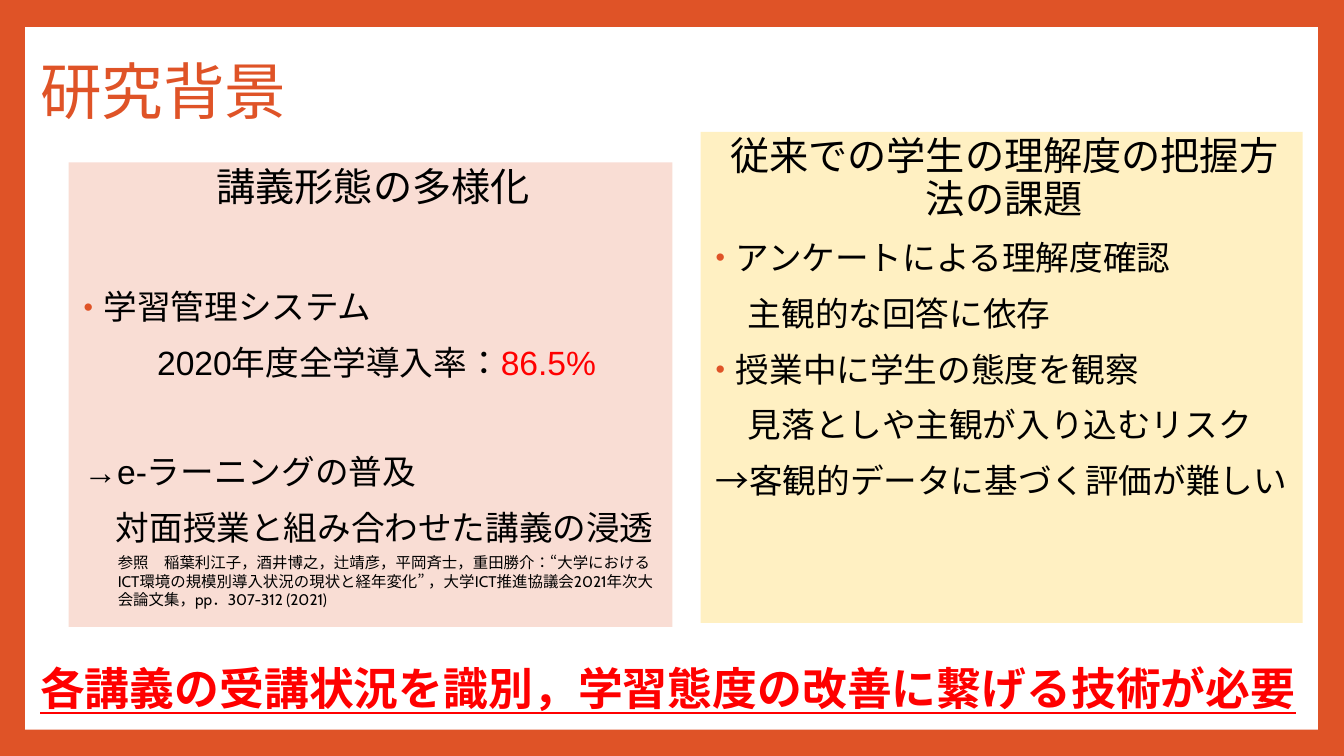
"""Build the research background slide with two panels and a conclusion."""
from pptx import Presentation, util as u
from pptx.dml.color import RGBColor
from pptx.enum import lang, shapes, text
from pptx.oxml import parse_xml
from pptx.oxml.ns import nsdecls

ORANGE = RGBColor(0xDF, 0x53, 0x27)
WHITE = RGBColor(0xFF, 0xFF, 0xFF)
PINK = RGBColor(0xF9, 0xDD, 0xD4)
YELLOW = RGBColor(0xFF, 0xF0, 0xC2)
BLACK = RGBColor(0, 0, 0)
RED = RGBColor(0xFF, 0, 0)

FRAME = (0.25, 0.27, 12.82, 6.97)
TITLE = ("研究背景", (0.3, 0.2, 10.8, 1.48))
REFERENCE = (
    "参照　稲葉利江子，酒井博之，辻靖彦，平岡斉士，重田勝介：“大学における"
    "ICT環境の規模別導入状況の現状と経年変化” ，大学ICT推進協議会2021年次"
    "大会論文集，pp．307-312 (2021)",
    (1.07, 5.44, 5.59, 0.67),
)
CONCLUSION = (
    "各講義の受講状況を識別，学習態度の改善に繋げる技術が必要",
    (0.3, 6.51, 12.77, 0.64),
)
PANELS = [
    {
        "box": (0.68, 1.61, 5.99, 4.61), "fill": PINK, "font": "Arial",
        "heading": "講義形態の多様化",
        "points": [
            ("学習管理システム", {"bullet": True, "before": 58}),
            ("2020年度全学導入率：|86.5%", {"indent": 0.78}),
            ("→e-ラーニングの普及", {"before": 52}),
            ("対面授業と組み合わせた講義の浸透", {"indent": 0.37}),
        ],
    },
    {
        "box": (6.95, 1.31, 5.97, 4.87), "fill": YELLOW, "font": "Cabin",
        "heading": "従来での学生の理解度の把握方法の課題",
        "points": [
            ("アンケートによる理解度確認", {"bullet": True}),
            ("主観的な回答に依存", {"indent": 0.37}),
            ("授業中に学生の態度を観察", {"bullet": True}),
            ("見落としや主観が入り込むリスク", {"indent": 0.37}),
            ("→客観的データに基づく評価が難しい", {}),
        ],
    },
]


def inches(box):
    """Convert a box to slide lengths."""
    return [u.Inches(length) for length in box]


def add_panel(slide, box, fill):
    """Add a plain filled rectangle and return its text frame."""
    panel = slide.shapes.add_shape(shapes.MSO_SHAPE.RECTANGLE, *inches(box))
    panel.shadow.inherit = False
    panel.fill.solid()
    panel.fill.fore_color.rgb = fill
    panel.line.fill.background()
    panel.text_frame.word_wrap = True
    panel.text_frame.vertical_anchor = text.MSO_ANCHOR.TOP
    return panel.text_frame


def add_label(slide, box, wrap=True):
    """Add a text box and return its text frame."""
    frame = slide.shapes.add_textbox(*inches(box)).text_frame
    frame.word_wrap = wrap
    return frame


def write(frame, words, size=24, font="Cabin", color=BLACK, bold=False,
          underline=False, align=text.PP_ALIGN.LEFT, indent=0, before=0,
          spacing=1.0, bullet=False):
    """Write one paragraph; words after a bar are red."""
    first = frame.paragraphs[0]
    para = frame.add_paragraph() if first.runs else first
    para.alignment = align
    para.line_spacing = spacing
    para.space_before = u.Pt(before)
    props = para._p.get_or_add_pPr()
    props.set("marL", str(u.Inches(0.25 if bullet else indent)))
    props.set("indent", str(u.Inches(-0.2 if bullet else 0)))
    if bullet:
        for element in (f'<a:buClr {nsdecls("a")}><a:srgbClr val="{ORANGE}"/></a:buClr>',
                        f'<a:buSzPct {nsdecls("a")} val="80000"/>',
                        f'<a:buFont {nsdecls("a")} typeface="Arial"/>',
                        f'<a:buChar {nsdecls("a")} char="•"/>'):
            props.append(parse_xml(element))
    for part, shade in zip(words.split("|"), (color, RED)):
        run = para.add_run()
        run.text = part
        run.font.size = u.Pt(size)
        run.font.name = font
        run.font.color.rgb = shade
        run.font.bold = bold
        run.font.underline = underline
        run.font.language_id = lang.MSO_LANGUAGE_ID.JAPANESE


def main():
    """Assemble and save the slide."""
    deck = Presentation()
    deck.slide_width, deck.slide_height = u.Inches(13.33), u.Inches(7.5)
    slide = deck.slides.add_slide(deck.slide_layouts[6])
    slide.background.fill.solid()
    slide.background.fill.fore_color.rgb = ORANGE
    add_panel(slide, FRAME, WHITE)

    title, title_box = TITLE
    title_frame = add_label(slide, title_box)
    title_frame.vertical_anchor = text.MSO_ANCHOR.MIDDLE
    write(title_frame, title, size=44, color=ORANGE, spacing=0.9)

    for panel in PANELS:
        frame = add_panel(slide, panel["box"], panel["fill"])
        write(frame, panel["heading"], size=28, spacing=0.9, indent=0.05,
              align=text.PP_ALIGN.CENTER)
        for point, layout in panel["points"]:
            style = {"indent": 0.05, "before": 14, **layout}
            write(frame, point, font=panel["font"], spacing=0.9, **style)

    reference, reference_box = REFERENCE
    write(add_label(slide, reference_box), reference, size=11)
    conclusion, conclusion_box = CONCLUSION
    write(add_label(slide, conclusion_box, wrap=False), conclusion, size=32,
          color=RED, bold=True, underline=True)
    deck.save("out.pptx")


if __name__ == "__main__":
    main()
